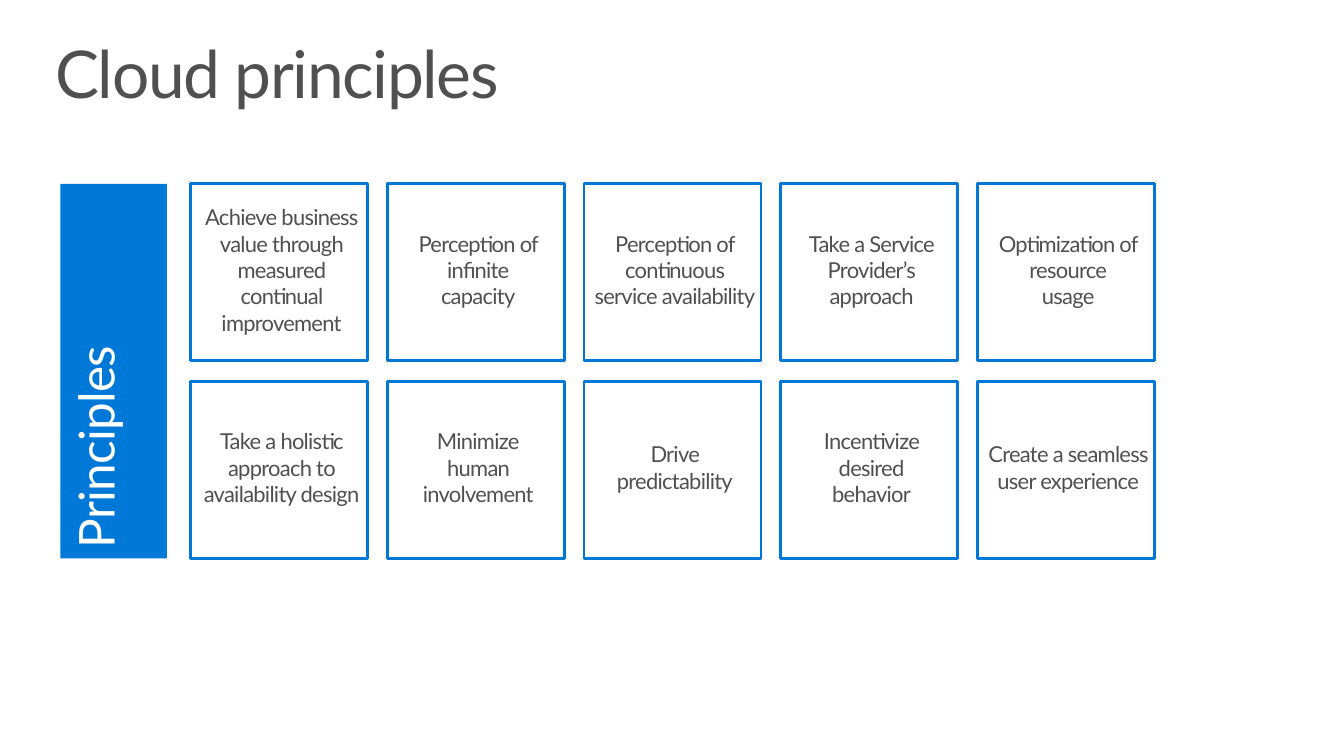
from dataclasses import dataclass

from pptx import Presentation
from pptx.dml.color import RGBColor
from pptx.enum.shapes import MSO_SHAPE
from pptx.enum.text import MSO_ANCHOR, MSO_AUTO_SIZE, PP_ALIGN
from pptx.util import Inches, Pt

RECT = MSO_SHAPE.RECTANGLE
LEFT, CENTER = PP_ALIGN.LEFT, PP_ALIGN.CENTER
TOP, MIDDLE = MSO_ANCHOR.TOP, MSO_ANCHOR.MIDDLE
NO_AUTOFIT = MSO_AUTO_SIZE.NONE


@dataclass(frozen=True)
class Theme:
    font: str = "Lato"
    blue: RGBColor = RGBColor(0x00, 0x78, 0xD7)
    gray: RGBColor = RGBColor(0x50, 0x50, 0x50)
    white: RGBColor = RGBColor(0xFF, 0xFF, 0xFF)
    title: int = 48
    banner: int = 36
    body: int = 16


THEME = Theme()
BOX_INSETS = (0.1, 0.05, 0.05, 0.1)


def write_text(sp, text, *, size, color=THEME.gray, align=LEFT, anchor=TOP,
               insets=BOX_INSETS, tracking=-0.5, line_spacing=1.0):
    """Fill a shape with one paragraph; insets are left, top, right, bottom."""
    tf = sp.text_frame
    tf.word_wrap = True
    tf.auto_size = NO_AUTOFIT
    tf.vertical_anchor = anchor
    tf.margin_left, tf.margin_top, tf.margin_right, tf.margin_bottom = map(Inches, insets)
    p = tf.paragraphs[0]
    p.text = text
    p.alignment = align
    p.line_spacing = line_spacing
    for r in p.runs:
        r.font.name = THEME.font
        r.font.size = Pt(size)
        r.font.color.rgb = color
        r.font._element.set("spc", str(round(tracking * 100)))


def add_box(left, top, width, height):
    sp = slide.shapes.add_shape(RECT, Inches(left), Inches(top), Inches(width), Inches(height))
    sp.shadow.inherit = False
    return sp


prs = Presentation()
prs.slide_width, prs.slide_height = Inches(13.6), Inches(7.65)
slide = prs.slides.add_slide(prs.slide_layouts[5])

title = slide.shapes.title
title.left, title.top, title.width, title.height = map(Inches, (0.4, 0.32, 12.8, 1))
write_text(title, "Cloud principles", size=THEME.title, tracking=-1,
           insets=(0.16, 0.1, 0.16, 0.1), line_spacing=0.9)

PRINCIPLES = [
    ["Achieve business value through measured continual improvement",
     "Perception of infinite\ncapacity",
     "Perception of continuous service availability",
     "Take a Service Provider’s approach",
     "Optimization of resource\nusage"],
    ["Take a holistic approach to availability design",
     "Minimize\nhuman involvement",
     "Drive predictability",
     "Incentivize desired\nbehavior",
     "Create a seamless user experience"],
]
GRID_LEFT, GRID_TOP = 1.93, 1.86
COLUMN_PITCH, ROW_PITCH, BOX_SIZE = 1.99, 2, 1.79

for row, principles in enumerate(PRINCIPLES):
    for column, principle in enumerate(principles):
        box = add_box(GRID_LEFT + column * COLUMN_PITCH, GRID_TOP + row * ROW_PITCH,
                      BOX_SIZE, BOX_SIZE)
        box.fill.background()
        box.line.color.rgb = THEME.blue
        box.line.width = Pt(2)
        write_text(box, principle, size=THEME.body, align=CENTER, anchor=MIDDLE)

banner = add_box(0.61, GRID_TOP, 1.08, ROW_PITCH + BOX_SIZE)
banner.fill.solid()
banner.fill.fore_color.rgb = THEME.blue
banner.line.fill.background()
write_text(banner, "Principles", size=THEME.banner, color=THEME.white)
banner.text_frame._txBody.bodyPr.set("vert", "vert270")

prs.save("out.pptx")
